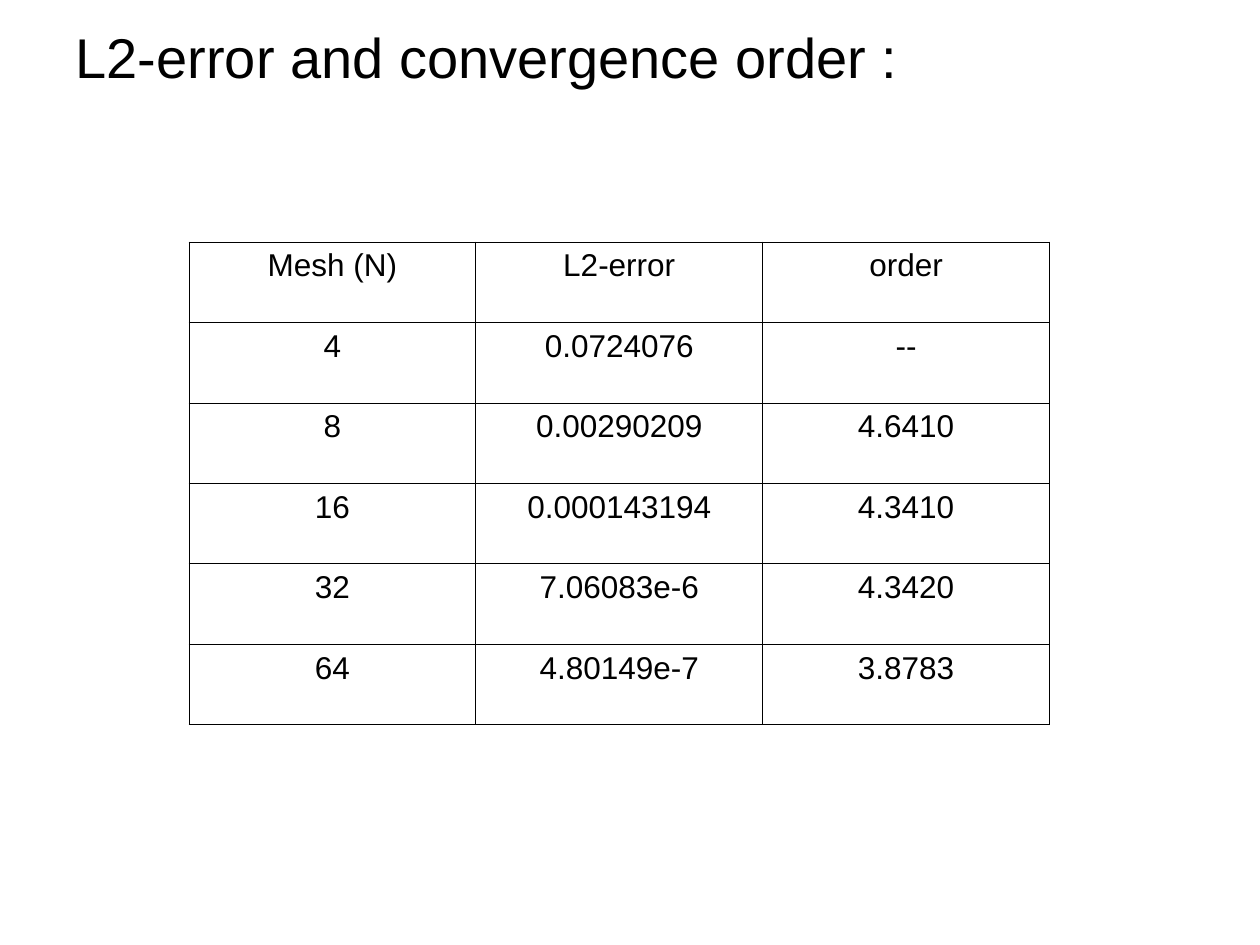
from dataclasses import dataclass

from lxml import etree
from pptx import Presentation
from pptx import util as u
from pptx.dml.color import RGBColor
from pptx.enum import text
from pptx.oxml import ns


@dataclass(frozen=True)
class Theme:
    font: str = "Arial"
    ink: str = "000000"
    paper: str = "FFFFFF"
    heading_size: float = 32
    cell_size: float = 18
    rule_width: float = 0.45


THEME = Theme()
WIDTH, HEIGHT = u.Inches(10), u.Inches(7.5)
HEADING = "L2-error and convergence order :"
RESULTS = [
    ("Mesh (N)", "L2-error", "order"),
    ("4", "0.0724076", "--"),
    ("8", "0.00290209", "4.6410"),
    ("16", "0.000143194", "4.3410"),
    ("32", "7.06083e-6", "4.3420"),
    ("64", "4.80149e-7", "3.8783"),
]


def share(left, top, width, height):
    """Turn shares of the slide into a box in EMU."""
    return (int(left * WIDTH), int(top * HEIGHT),
            int(width * WIDTH), int(height * HEIGHT))


def style_font(paragraph, size):
    formats = {"name": THEME.font, "size": u.Pt(size), "bold": False}
    for name, value in formats.items():
        setattr(paragraph.font, name, value)
    paragraph.font.color.rgb = RGBColor.from_string(THEME.ink)
    for run in paragraph.runs:
        for name, value in formats.items():
            setattr(run.font, name, value)
        run.font.color.rgb = RGBColor.from_string(THEME.ink)


def rule_cell(cell):
    """Draw a thin line on all four sides of a cell."""
    properties = cell._tc.get_or_add_tcPr()
    for position, side in enumerate(("lnL", "lnR", "lnT", "lnB")):
        line = etree.Element(ns.qn(f"a:{side}"), w=str(u.Pt(THEME.rule_width)))
        fill = etree.SubElement(line, ns.qn("a:solidFill"))
        etree.SubElement(fill, ns.qn("a:srgbClr"), val=THEME.ink)
        properties.insert(position, line)


def place_heading(slide, box):
    body = slide.placeholders[1]
    body.left, body.top, body.width, body.height = box
    frame = body.text_frame
    frame.word_wrap = True
    frame.margin_top = u.Inches(0.1)
    frame.vertical_anchor = text.MSO_ANCHOR.TOP
    heading = frame.paragraphs[0]
    heading.text = HEADING
    etree.SubElement(heading._p.get_or_add_pPr(), ns.qn("a:buNone"))
    heading.space_before = u.Pt(0)
    style_font(heading, THEME.heading_size)


def place_results(slide, box):
    width, height = box[2:]
    table = slide.shapes.add_table(len(RESULTS), len(RESULTS[0]), *box).table
    table.first_row = table.horz_banding = False
    for column in table.columns:
        column.width = width // len(RESULTS[0])
    for row, values in zip(table.rows, RESULTS):
        row.height = height // len(RESULTS)
        for cell, value in zip(row.cells, values):
            cell.text = value
            cell.fill.background()
            rule_cell(cell)
            paragraph = cell.text_frame.paragraphs[0]
            paragraph.alignment = text.PP_ALIGN.CENTER
            style_font(paragraph, THEME.cell_size)


def build_results_slide(deck):
    slide = deck.slides.add_slide(deck.slide_layouts[1])
    slide.background.fill.solid()
    slide.background.fill.fore_color.rgb = RGBColor.from_string(THEME.paper)
    unused_title = slide.shapes.title.element
    unused_title.getparent().remove(unused_title)
    place_heading(slide, share(0.05, 0.01, 0.9, 0.99))
    place_results(slide, share(0.15, 0.256, 0.683, 0.511))


def main():
    deck = Presentation()
    deck.slide_width, deck.slide_height = WIDTH, HEIGHT
    build_results_slide(deck)
    deck.save("out.pptx")


if __name__ == "__main__":
    main()
